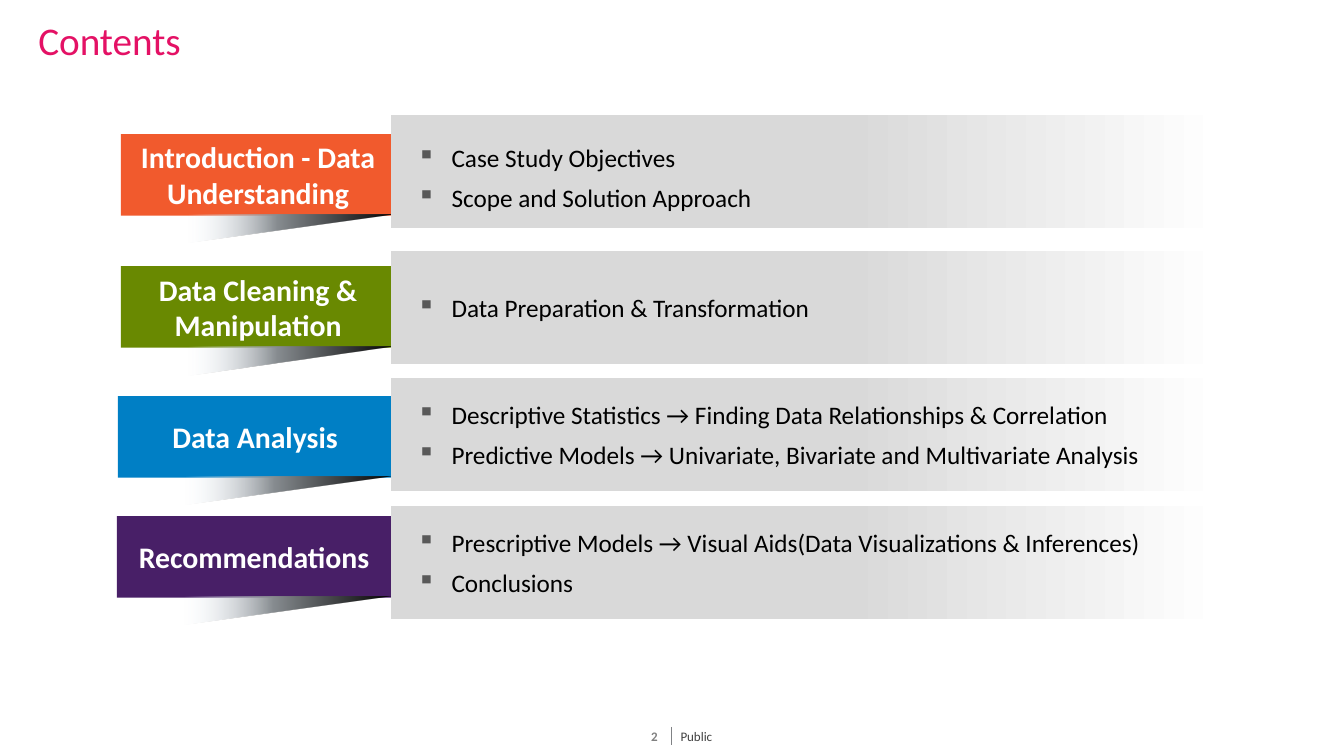
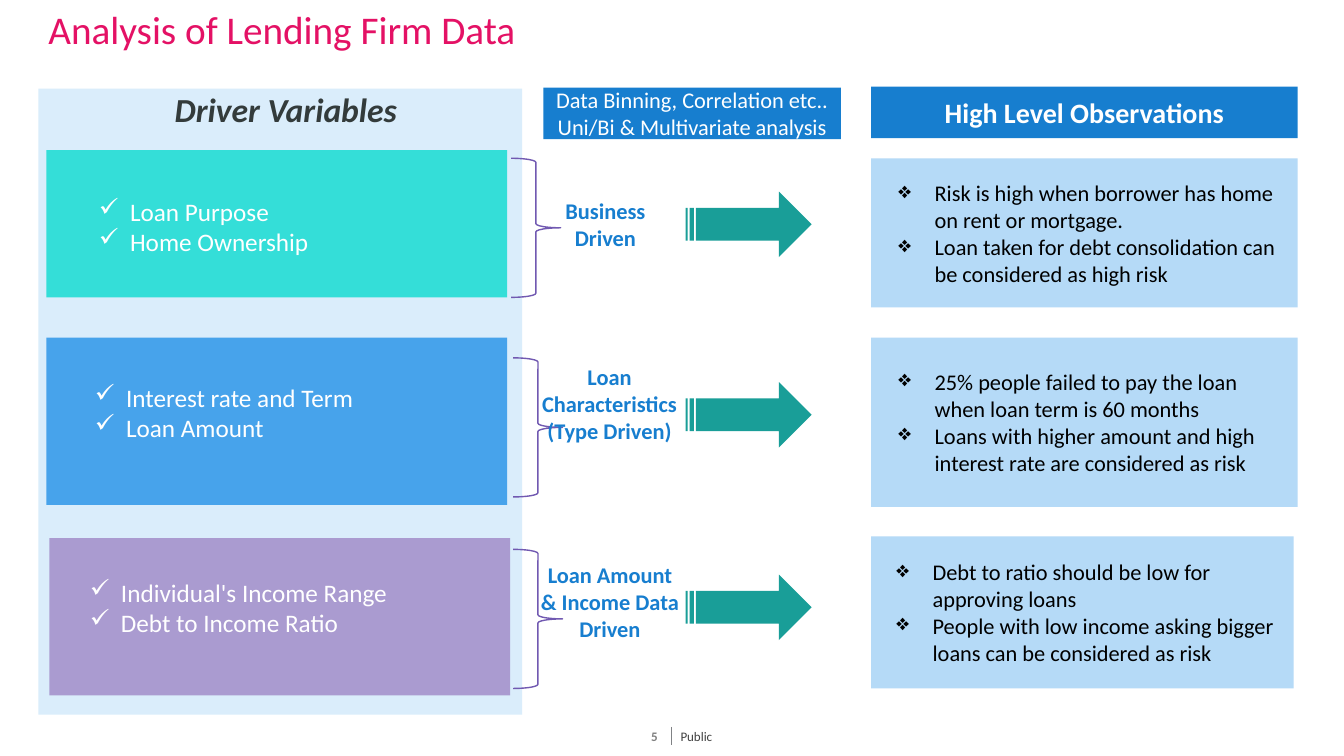
"""Build the contents slide and the loan analysis slide."""
from pptx import Presentation, dml, oxml, util as u
from pptx.dml import color as dc
from pptx.enum import shapes as es, text as et
from pptx.oxml import ns

FONT = "Calibri"
PINK, WHITE, BLACK = "E41165", "FFFFFF", "000000"
BLUE, PALE, SKY = "177ECF", "DAEDFB", "B5DAF7"
TEAL, VIOLET, INK = "199E98", "7159B1", "333B3B"
GREY, RULE, DARK, MARK = "808080", "808285", "404040", "595959"

SHADE = [(0, "EFF7FF", 0), (43, "878C90", 100), (100, BLACK, 100)]
FADE = [(55, "D9D9D9", 100), (100, WHITE, 100)]

LEFT = {"alignment": et.PP_ALIGN.LEFT}
MID = {"alignment": et.PP_ALIGN.CENTER}
TITLE = {**LEFT, "line_spacing": 0.9}
LIST = {**LEFT, "space_before": u.Pt(6.7)}
FLAT = (0, 0, 0, 0)
INSET = (0.1, 0.05, 0.1, 0.05)

TOPICS = [
    (1.2, 1.33, 1.14, "F15A2D", "Introduction - Data Understanding", 0.17,
     ["Case Study Objectives", "Scope and Solution Approach"]),
    (1.2, 2.64, 2.49, "698901", "Data Cleaning & Manipulation", 0.05,
     ["Data Preparation & Transformation"]),
    (1.17, 3.93, 3.75, "007FC5", "Data Analysis", 0.05,
     ["Descriptive Statistics → Finding Data Relationships & Correlation",
      "Predictive Models → Univariate, Bivariate and Multivariate Analysis"]),
    (1.16, 5.12, 5.02, "481F67", "Recommendations", 0.05,
     ["Prescriptive Models → Visual Aids(Data Visualizations & Inferences)",
      "Conclusions"]),
]

DRIVERS = [
    {"card": (0.46, 1.49, 4.57, 1.46), "fill": "34DED8",
     "list": (0.98, 1.8), "items": ["Loan Purpose", "Home Ownership"],
     "brace": (5.07, 1.57), "arrow": 1.9,
     "tag": (5.03, 1.97, 1.95, 0.51), "kind": ["Business", "Driven"],
     "panel": (8.64, 1.57, 4.23, 1.48), "note": (8.77, 1.75),
     "facts": ["Risk is high when borrower has home on rent or mortgage.",
               "Loan taken for debt consolidation can be considered as high risk"]},
    {"card": (0.46, 3.35, 4.57, 1.66), "fill": "47A3EB",
     "list": (0.94, 3.64), "items": ["Interest rate and Term", "Loan Amount"],
     "brace": (5.09, 3.55), "arrow": 3.79,
     "tag": (5.07, 3.48, 1.95, 1.05),
     "kind": ["Loan", "Characteristics", "(Type Driven)"],
     "panel": (8.64, 3.35, 4.23, 1.68), "note": (8.77, 3.62),
     "facts": ["25% people failed to pay the loan when loan term is 60 months",
               "Loans with higher amount and high interest rate are considered as risk"]},
    {"card": (0.49, 5.34, 4.57, 1.56), "fill": "AA9BD0",
     "list": (0.89, 5.58),
     "items": ["Individual's Income Range", "Debt to Income Ratio"],
     "brace": (5.09, 5.45), "arrow": 5.7,
     "tag": (5.12, 5.64, 1.86, 0.65),
     "kind": ["Loan Amount", "& Income Data", "Driven"],
     "panel": (8.64, 5.32, 4.19, 1.51), "note": (8.75, 5.51),
     "facts": ["Debt to ratio should be low for approving loans",
               "People with low income asking bigger loans can be considered as risk"]},
]


def rgb(code):
    """Turn a hex string into a colour."""
    return dc.RGBColor.from_string(code)


def apply(item, values):
    """Set each attribute in a dict of format values."""
    for name, value in values.items():
        setattr(item, name, value)


def node(tag, **attrs):
    """Make a DrawingML element."""
    part = oxml.parse_xml(f"<a:{tag} {ns.nsdecls('a')}/>")
    for name, value in attrs.items():
        part.set(name, str(value))
    return part


def bullet(para, mark, tint, left, hang):
    """Give a paragraph a hanging bullet."""
    props = para._p.get_or_add_pPr()
    props.set("marL", str(u.Inches(left)))
    props.set("indent", str(-u.Inches(hang)))
    hue = node("buClr")
    hue.append(node("srgbClr", val=tint))
    props.append(hue)
    props.append(node("buChar", char=mark))


def write(frame, lines, size, tint, para=LEFT, inset=INSET,
          anchor=et.MSO_ANCHOR.MIDDLE, mark=None, **font):
    """Fill a text frame with formatted paragraphs."""
    sides = ("margin_left", "margin_top", "margin_right", "margin_bottom")
    apply(frame, {"word_wrap": True, "auto_size": et.MSO_AUTO_SIZE.NONE,
                  "vertical_anchor": anchor,
                  **dict(zip(sides, map(u.Inches, inset)))})
    for i, line in enumerate(lines):
        item = frame.add_paragraph() if i else frame.paragraphs[0]
        apply(item, para)
        run = item.add_run()
        run.text = line
        apply(run.font, {"name": FONT, "size": u.Pt(size), **font})
        run.font.color.rgb = rgb(tint)
        if mark:
            bullet(item, *mark)


def label(shapes, box, lines, size, tint, **look):
    """Add a text box."""
    area = shapes.add_textbox(*map(u.Inches, box))
    write(area.text_frame, lines, size, tint, **look)


def block(shapes, box, fill=None, kind=es.MSO_SHAPE.RECTANGLE, line=None):
    """Add a plain preset shape."""
    shape = shapes.add_shape(kind, *map(u.Inches, box))
    shape.shadow.inherit = False
    if fill:
        shape.fill.solid()
        shape.fill.fore_color.rgb = rgb(fill)
    else:
        shape.fill.background()
    if line:
        shape.line.color.rgb = rgb(line)
        shape.line.width = u.Pt(1)
    else:
        shape.line.fill.background()
    return shape


def blend(shape, stops):
    """Fill a shape with a gradient from left to right."""
    shape.fill.gradient()
    shape.fill.gradient_angle = 0
    steps = shape.element.spPr.find(".//" + ns.qn("a:gsLst"))
    for old in list(steps):
        steps.remove(old)
    for place, code, solid in stops:
        stop, hue = node("gs", pos=place * 1000), node("srgbClr", val=code)
        if solid < 100:
            hue.append(node("alpha", val=solid * 1000))
        stop.append(hue)
        steps.append(stop)


def start(deck, title, box, number):
    """Add a slide with its title and footer."""
    slide = deck.slides.add_slide(deck.slide_layouts[5])
    head, shapes = slide.shapes.title, slide.shapes
    apply(head, dict(zip(("left", "top", "width", "height"), map(u.Inches, box))))
    write(head.text_frame, [title], 28, PINK, para=TITLE, anchor=et.MSO_ANCHOR.TOP)
    ends = map(u.Inches, (6.66, 7.21, 6.66, 7.39))
    rule = shapes.add_connector(es.MSO_CONNECTOR.STRAIGHT, *ends)
    rule.line.color.rgb = rgb(RULE)
    rule.line.width = u.Pt(0.5)
    rule.element.spPr.append(node("effectLst"))
    label(shapes, (6.27, 7.21, 0.44, 0.19), [number], 9.3, GREY, para=MID, bold=True)
    label(shapes, (6.68, 7.21, 2.74, 0.19), ["Public"], 9.3, DARK,
          inset=(0.07, 0.05, 0.1, 0.05))
    return shapes


def topic(shapes, left, top, base, fill, name, drop, items):
    """Add a ribbon with its fold and its list."""
    row = shapes.add_group_shape().shapes
    tab = block(row, (left, top, 2.72, 0.81), fill)
    write(tab.text_frame, [name], 21.3, WHITE, para=MID,
          inset=(0.13, 0.07, 0.13, 0.07), bold=True)
    fold = block(row, (left + 0.67, top + 0.8, 2.05, 0.28),
                 kind=es.MSO_SHAPE.RIGHT_TRIANGLE)
    blend(fold, SHADE)
    fold.element.spPr.find(ns.qn("a:xfrm")).set("flipV", "1")
    panel = block(row, (3.88, base, 8.25, 1.12))
    blend(panel, FADE)
    write(panel.text_frame, items, 18, BLACK, para=LIST,
          inset=(0.1, drop, 0.1, 0.05), mark=("▪", MARK, 0.5, 0.34))


def driver(shapes, row):
    """Add one row from driver to observations."""
    block(shapes, row["card"], row["fill"])
    label(shapes, (*row["list"], 3.71, 0.9), row["items"], 18, WHITE,
          inset=FLAT, mark=("✓", WHITE, 0.31, 0.31))
    block(shapes, (*row["brace"], 0.49, 1.38),
          kind=es.MSO_SHAPE.RIGHT_BRACE, line=VIOLET)
    label(shapes, row["tag"], row["kind"], 16, BLUE, para=MID, inset=FLAT, bold=True)
    block(shapes, (6.8, row["arrow"], 1.25, 0.65), TEAL,
          es.MSO_SHAPE.STRIPED_RIGHT_ARROW)
    block(shapes, row["panel"], SKY)
    label(shapes, (*row["note"], 3.93, 1.13), row["facts"], 16, BLACK,
          inset=FLAT, mark=("❖", BLACK, 0.5, 0.36))


def main():
    """Build and save the deck."""
    deck = Presentation()
    apply(deck, {"slide_width": u.Inches(13.33), "slide_height": u.Inches(7.5)})

    shapes = start(deck, "Contents", (0.28, 0.16, 11.54, 0.49), "2")
    for row in TOPICS:
        topic(shapes, *row)

    shapes = start(deck, "Analysis of Lending Firm Data", (0.38, 0.06, 11.58, 0.72), "5")
    block(shapes, (0.38, 0.88, 4.8, 6.21), PALE)
    label(shapes, (1.28, 0.88, 3.11, 0.4), ["Driver Variables"], 24, INK,
          para=MID, inset=FLAT, bold=True, italic=True)
    method = block(shapes, (5.39, 0.87, 2.95, 0.51), BLUE)
    write(method.text_frame, ["Data Binning, Correlation etc..",
                              "Uni/Bi & Multivariate analysis"], 16, WHITE, para=MID)
    result = block(shapes, (8.64, 0.86, 4.23, 0.51), BLUE)
    write(result.text_frame, ["High Level Observations"], 20, WHITE,
          para=MID, bold=True)
    for row in DRIVERS:
        driver(shapes, row)

    deck.save("out.pptx")


if __name__ == "__main__":
    main()
